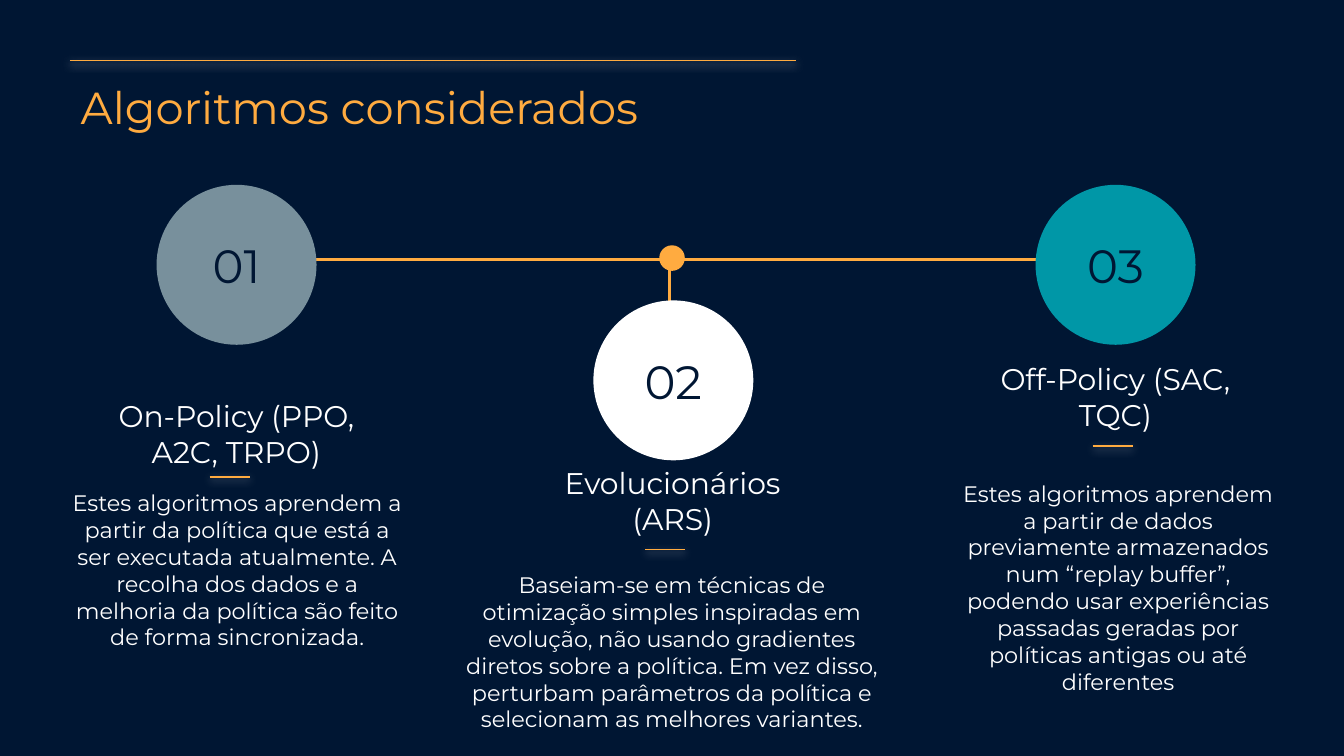
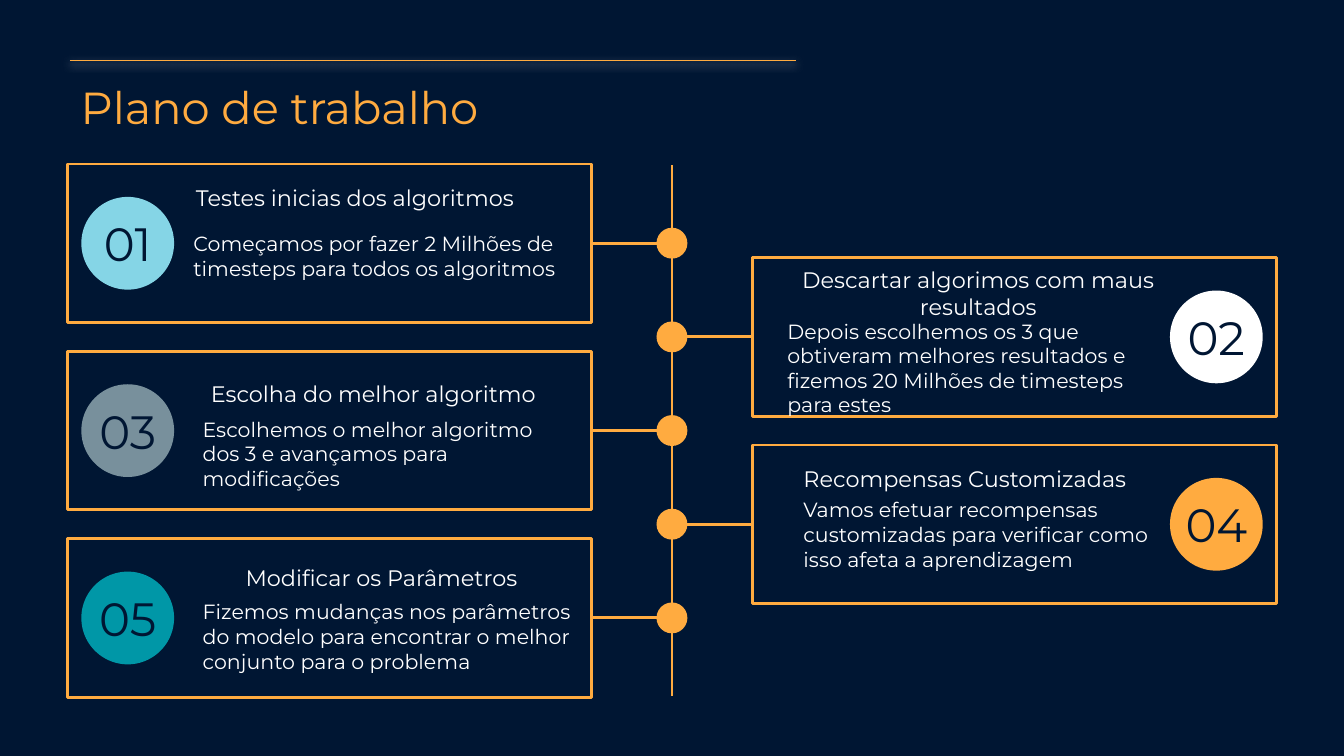
from dataclasses import dataclass
from lxml.etree import SubElement
from pptx import Presentation
from pptx.dml.color import RGBColor
from pptx.enum.shapes import MSO_CONNECTOR, MSO_SHAPE
from pptx.enum.text import MSO_ANCHOR, MSO_AUTO_SIZE, PP_ALIGN
from pptx.oxml.ns import qn
from pptx.util import Inches, Pt


@dataclass(frozen=True)
class Theme:
    font: str = "Montserrat"
    navy: str = "001633"
    gold: str = "FFAB40"
    teal: str = "0097A7"
    slate: str = "78909C"
    sky: str = "85D5E6"
    white: str = "FFFFFF"
    title: int = 24
    digit: int = 25
    head: int = 16
    body: int = 12
    note: int = 11
    rule: float = 0.75
    frame: float = 1.5
    wire: float = 1.6


look = Theme()
left, mid, right = PP_ALIGN.LEFT, PP_ALIGN.CENTER, PP_ALIGN.RIGHT
top, low = MSO_ANCHOR.TOP, MSO_ANCHOR.BOTTOM

deck = Presentation()
deck.slide_width = Inches(10)
deck.slide_height = deck.slide_width * 9 // 16
unit = deck.slide_width // 100
back = deck.slide_master.background.fill
back.solid()
back.fore_color.rgb = RGBColor.from_string(look.navy)


def write(shape, words, size, ink, align=left, anchor=top, pad=1, wrap=True):
    frame = shape.text_frame
    frame.text = words
    frame.word_wrap = wrap
    frame.auto_size = MSO_AUTO_SIZE.NONE
    frame.vertical_anchor = anchor
    frame.margin_left = frame.margin_right = pad * unit
    frame.margin_top = frame.margin_bottom = pad * unit
    para = frame.paragraphs[0]
    para.alignment = align
    font = para.runs[0].font
    font.name, font.size = look.font, Pt(size)
    font.color.rgb = RGBColor.from_string(ink)


def draw(slide, start, end, width, glow=False):
    spots = [int(v * unit) for v in (*start, *end)]
    line = slide.shapes.add_connector(MSO_CONNECTOR.STRAIGHT, *spots)
    line.line.color.rgb = RGBColor.from_string(look.gold)
    line.line.width = Pt(width)
    fx = SubElement(line.element.spPr, qn("a:effectLst"))
    if glow:
        shade = SubElement(fx, qn("a:outerShdw"), blurRad=str(Pt(4.5)), dist=str(Pt(1.5)),
                           dir="5400000", algn="bl", rotWithShape="0")
        tint = SubElement(shade, qn("a:srgbClr"), val=look.white)
        SubElement(tint, qn("a:alpha"), val="50000")
    return line


slides = []
for name in ("Algoritmos considerados", "Plano de trabalho"):
    slide = deck.slides.add_slide(deck.slide_layouts[5])
    draw(slide, (5.2, 4.5), (59.2, 4.5), look.rule, True)
    title = slide.shapes.title
    title.left, title.top, title.width, title.height = [int(v * unit) for v in (5, 4.9, 87.5, 5.2)]
    write(title, name, look.title, look.gold)
    slides.append(slide)
kinds, plan = slides

draw(kinds, (15.1, 19.3), (84, 19.3), look.wire)
draw(kinds, (49.8, 31.1), (49.8, 19.7), look.wire)

groups = [
    ("On-Policy (PPO, A2C, TRPO)", (7.6, 26.2, 20, 9.7),
     "Estes algoritmos aprendem a partir da política que está a ser executada atualmente. "
     "A recolha dos dados e a melhoria da política são feito de forma sincronizada.",
     (4.2, 35.4, 26.9, 26.8), (15.6, 35.5), (17.6, 19.7), look.slate),
    ("Evolucionários (ARS)", (38.8, 34.9, 22.5, 6),
     "Baseiam-se em técnicas de otimização simples inspiradas em evolução, não usando "
     "gradientes diretos sobre a política. Em vez disso, perturbam parâmetros da política "
     "e selecionam as melhores variantes.",
     (33.4, 41.5, 33.2, 12.3), (48, 40.9), (50.1, 28.3), look.white),
    ("Off-Policy (SAC, TQC)", (73, 27.2, 20, 6),
     "Estes algoritmos aprendem a partir de dados previamente armazenados num “replay "
     "buffer”, podendo usar experiências passadas geradas por políticas antigas ou até diferentes",
     (70.6, 34.7, 25.2, 31.8), (81.3, 33.2), (83, 19.7), look.teal),
]

discs = [(kinds, 50, 19.2, 1.9, look.gold, "")]
for i, (head, spot, body, area, (x, y), (cx, cy), tone) in enumerate(groups, 1):
    discs.append((kinds, cx, cy, 11.9, tone, f"{i:02}"))
    draw(kinds, (x, y), (x + 3, y), look.rule, True)
    for words, box, size, anchor in ((head, spot, look.head, low), (body, area, look.body, top)):
        label = kinds.shapes.add_textbox(*[int(v * unit) for v in box])
        write(label, words, size, look.white, mid, anchor)

steps = [
    ("Testes inicias dos algoritmos", (13.6, 10.7, 35.2, 6), left,
     "Começamos por fazer 2 Milhões de timesteps para todos os algoritmos",
     (13.4, 16.2, 29.7, 8), look.sky),
    ("Descartar algorimos com maus resultados", (55.6, 18.8, 34.4, 6), mid,
     "Depois escolhemos os 3 que obtiveram melhores resultados e fizemos 20 Milhões de "
     "timesteps para estes",
     (57.6, 22.7, 30.3, 9.3), look.white),
    ("Escolha do melhor algoritmo", (14.7, 25.3, 34.9, 6), left,
     "Escolhemos o melhor algoritmo dos 3 e avançamos para modificações",
     (14.1, 30, 29.7, 7), look.slate),
    ("Recompensas Customizadas", (58.8, 31.6, 33.4, 6), left,
     "Vamos efetuar recompensas customizadas para verificar como isso afeta a aprendizagem",
     (58.8, 36, 29.7, 7), look.gold),
    ("Modificar os Parâmetros", (9.2, 39, 30.3, 6), right,
     "Fizemos mudanças nos parâmetros do modelo para encontrar o melhor conjunto para o problema",
     (14.1, 43.6, 29.7, 7), look.teal),
]

draw(plan, (50, 51.8), (50, 12.3), look.wire)
for i, (head, spot, align, body, area, tone) in enumerate(steps):
    odd = i % 2
    y = 18.1 + i * 6.97
    box = (56 if odd else 5, y - 5.9, 39, 11.8)
    card = plan.shapes.add_shape(MSO_SHAPE.RECTANGLE, *[int(v * unit) for v in box])
    card.shadow.inherit = False
    card.fill.background()
    card.line.color.rgb = RGBColor.from_string(look.gold)
    card.line.width = Pt(look.frame)
    branch = draw(plan, (56 if odd else 44, y), (50, y), look.wire)
    branch.begin_connect(card, 1 if odd else 3)
    discs.append((plan, 50, y, 2.3, look.gold, ""))
    discs.append((plan, 90.5 if odd else 9.5, y, 6.9, tone, f"{i + 1:02}"))
    for words, place, size, side, anchor in ((head, spot, look.body, align, low),
                                             (body, area, look.note, left, top)):
        label = plan.shapes.add_textbox(*[int(v * unit) for v in place])
        write(label, words, size, look.white, side, anchor)

for slide, x, y, size, tone, words in discs:
    box = (x - size / 2, y - size / 2, size, size)
    disc = slide.shapes.add_shape(MSO_SHAPE.OVAL, *[int(v * unit) for v in box])
    disc.shadow.inherit = False
    disc.fill.solid()
    disc.fill.fore_color.rgb = RGBColor.from_string(tone)
    disc.line.fill.background()
    if words:
        write(disc, words, look.digit, look.navy, mid, MSO_ANCHOR.MIDDLE, 0, False)

deck.save("out.pptx")
